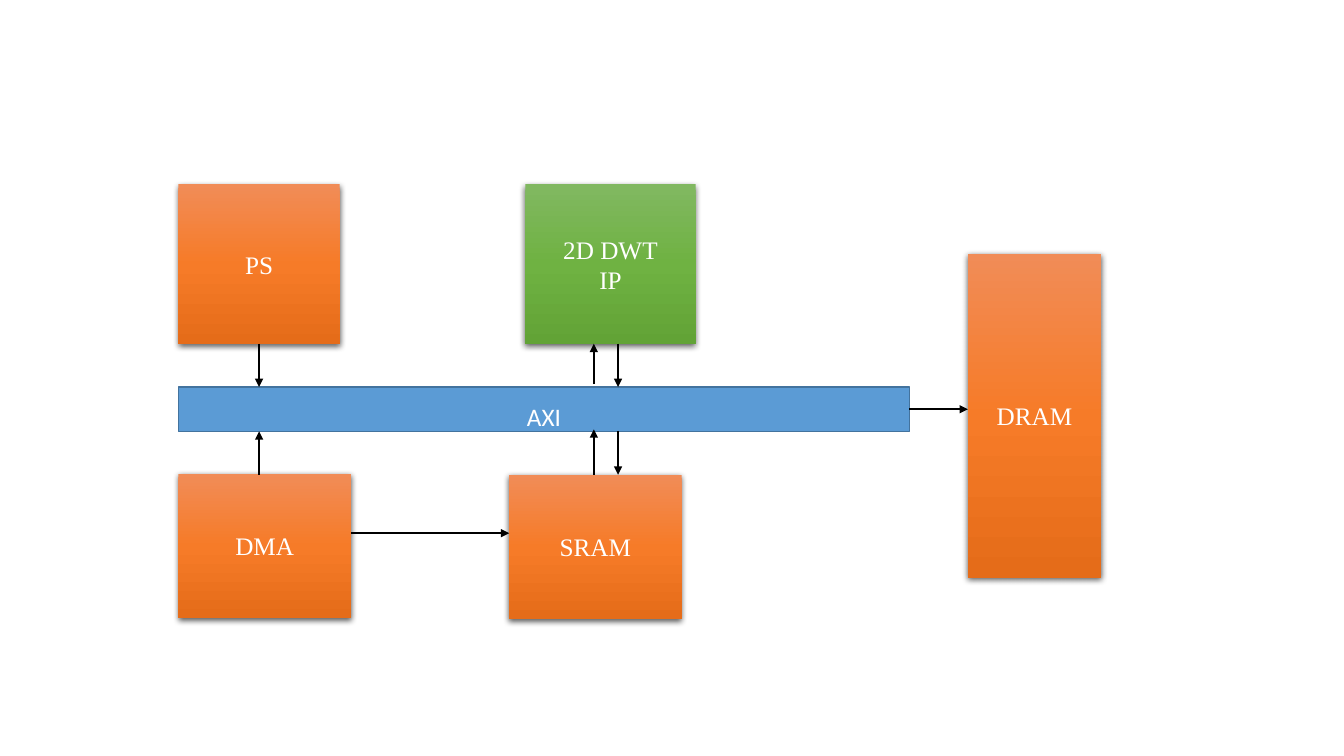
"""Draw the block diagram of an AXI bus joining processing and memory blocks."""
from copy import deepcopy
from dataclasses import dataclass
from typing import Any, Optional

from lxml.etree import SubElement
from pptx import Presentation
from pptx.dml.color import RGBColor
from pptx.enum.shapes import MSO_CONNECTOR as Connector, MSO_SHAPE as Preset
from pptx.enum.text import MSO_ANCHOR as Anchor, PP_ALIGN as Align
from pptx.oxml.ns import qn
from pptx.util import Inches, Pt

WHITE = RGBColor(0xFF, 0xFF, 0xFF)
BLACK = RGBColor(0x00, 0x00, 0x00)
BUS_BLUE = RGBColor(0x5B, 0x9B, 0xD5)
BUS_EDGE = RGBColor(0x43, 0x73, 0x9E)
ORANGES = (RGBColor(0xF1, 0x8C, 0x57), RGBColor(0xF6, 0x7B, 0x28), RGBColor(0xE5, 0x6C, 0x19))
GREENS = (RGBColor(0x81, 0xB8, 0x61), RGBColor(0x6F, 0xB2, 0x42), RGBColor(0x62, 0xA3, 0x36))

BLOCK_FONT = {"name": "Times New Roman", "size": Pt(18)}
BUS_FONT = {"name": "Calibri", "size": Pt(18)}
FRAME = {"word_wrap": True, "vertical_anchor": Anchor.MIDDLE}
BUS_FRAME = {**FRAME, "margin_top": Inches(0.14), "margin_bottom": 0}
SHADOW = {"blurRad": "57150", "dist": "19050", "dir": "5400000", "algn": "ctr", "rotWithShape": "0"}

BOTTOM, RIGHT = 2, 3
LEFT_EDGE, TOP_ROW, BUS_TOP, BUS_BOTTOM = 1.77, 1.83, 3.84, 4.28
TOP_ROW_END, LOWER_ROW = 3.41, 4.71
PS_X, UP_X, DOWN_X = 2.57, 5.89, 6.13


@dataclass(frozen=True)
class Block:
    label: str
    left: float
    top: float
    width: float
    height: float
    shades: tuple[RGBColor, ...] = ORANGES


@dataclass(frozen=True)
class Flow:
    start: tuple[float, float]
    end: tuple[float, float]
    source: Optional[str] = None
    site: int = BOTTOM


BUS = Block("AXI", LEFT_EDGE, BUS_TOP, 7.25, BUS_BOTTOM - BUS_TOP)
BLOCKS = [
    Block("PS", LEFT_EDGE, TOP_ROW, 1.6, 1.58),
    Block("DMA", LEFT_EDGE, 4.7, 1.71, 1.43),
    Block("DRAM", 9.6, 2.52, 1.32, 3.21),
    Block("2D DWT\nIP", 5.21, TOP_ROW, 1.69, 1.58, GREENS),
    Block("SRAM", 5.05, LOWER_ROW, 1.71, 1.43),
]
FLOWS = [
    Flow((PS_X, TOP_ROW_END), (PS_X, BUS_TOP), "PS"),
    Flow((PS_X, LOWER_ROW), (PS_X, BUS_BOTTOM)),
    Flow((9.02, 4.06), (9.6, 4.06), "AXI", RIGHT),
    Flow((3.48, 5.29), (5.05, 5.29)),
    Flow((UP_X, 3.81), (UP_X, TOP_ROW_END)),
    Flow((UP_X, LOWER_ROW), (UP_X, 4.26)),
    Flow((DOWN_X, TOP_ROW_END), (DOWN_X, BUS_TOP)),
    Flow((DOWN_X, BUS_BOTTOM), (DOWN_X, LOWER_ROW)),
]


def apply_format(target: Any, values: dict[str, Any]) -> None:
    """Set each named attribute of the target."""
    for name, value in values.items():
        setattr(target, name, value)


def add_box(shapes: Any, block: Block, frame: dict[str, Any], font: dict[str, Any]) -> Any:
    """Add a labelled rectangle without a shadow."""
    box = shapes.add_shape(Preset.RECTANGLE, *map(Inches, (block.left, block.top, block.width, block.height)))
    box.shadow.inherit = False
    apply_format(box.text_frame, frame)
    box.text_frame.text = block.label
    for line in box.text_frame.paragraphs:
        line.alignment = Align.CENTER
        for run in line.runs:
            apply_format(run.font, font)
            run.font.color.rgb = WHITE
    return box


def add_bus(shapes: Any) -> Any:
    """Add the flat blue bus bar."""
    bus = add_box(shapes, BUS, BUS_FRAME, BUS_FONT)
    bus.fill.solid()
    bus.fill.fore_color.rgb = BUS_BLUE
    bus.line.color.rgb = BUS_EDGE
    bus.line.width = Pt(1)
    return bus


def add_block(shapes: Any, block: Block) -> Any:
    """Add a block with a vertical gradient and a soft shadow."""
    box = add_box(shapes, block, FRAME, BLOCK_FONT)
    box.line.fill.background()
    box.fill.gradient()
    box.fill.gradient_angle = 270
    properties = box._element.spPr
    stop_list = properties.find(qn("a:gradFill")).find(qn("a:gsLst"))
    stop_list.insert(1, deepcopy(stop_list[0]))
    for stop, shade, position in zip(box.fill.gradient_stops, block.shades, (0, 0.5, 1)):
        stop.color.rgb = shade
        stop.position = position
    shadow = SubElement(properties.find(qn("a:effectLst")), qn("a:outerShdw"), SHADOW)
    tint = SubElement(shadow, qn("a:srgbClr"), val=str(BLACK))
    SubElement(tint, qn("a:alpha"), val="63000")
    return box


def add_flow(shapes: Any, flow: Flow, boxes: dict[str, Any]) -> None:
    """Add an arrow, joined to its source box where it has one."""
    arrow = shapes.add_connector(Connector.STRAIGHT, *map(Inches, flow.start + flow.end))
    if flow.source:
        arrow.begin_connect(boxes[flow.source], flow.site)
    arrow.line.color.rgb = BLACK
    arrow.line.width = Pt(1.5)
    SubElement(arrow.line._get_or_add_ln(), qn("a:tailEnd"), type="triangle")
    SubElement(arrow._element.spPr, qn("a:effectLst"))


def main() -> None:
    """Build and save the slide."""
    deck = Presentation()
    apply_format(deck, {"slide_width": Inches(13.33), "slide_height": Inches(7.5)})
    shapes = deck.slides.add_slide(deck.slide_layouts[6]).shapes
    boxes = {BUS.label: add_bus(shapes)}
    for block in BLOCKS:
        boxes[block.label] = add_block(shapes, block)
    for flow in FLOWS:
        add_flow(shapes, flow, boxes)
    deck.save("out.pptx")


if __name__ == "__main__":
    main()
